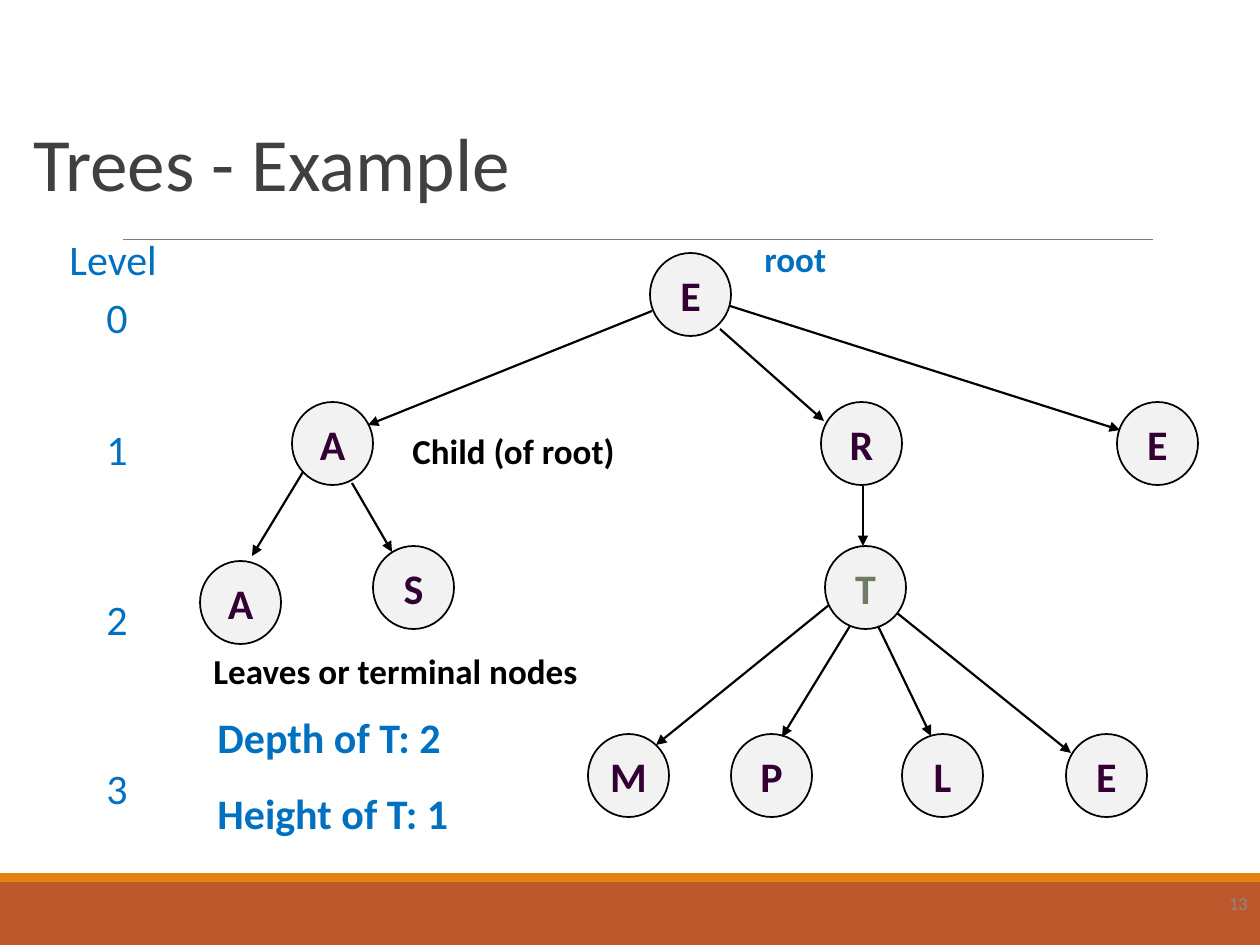
import pptx
import pptx.util
from lxml import etree
from pptx.dml.color import RGBColor
from pptx.enum.shapes import MSO_CONNECTOR, MSO_SHAPE
from pptx.enum.text import MSO_ANCHOR, PP_ALIGN
from pptx.oxml.ns import qn

PX = 914400 / 126
FONT = "Calibri"
RUST = RGBColor(0xBD, 0x58, 0x2C)
ORANGE = RGBColor(0xE4, 0x83, 0x12)
RULE = RGBColor(0x7F, 0x7F, 0x7F)
TITLE = RGBColor(0x40, 0x40, 0x40)
NUMBER = RGBColor(0x89, 0x89, 0x89)
BLACK = RGBColor(0, 0, 0)
BLUE = RGBColor(0x00, 0x70, 0xC0)
PLUM = RGBColor(0x33, 0x00, 0x33)
OLIVE = RGBColor(0x6F, 0x7B, 0x63)
NODE = RGBColor(0xF2, 0xF2, 0xF2)

prs = pptx.Presentation()
prs.slide_width = round(1260 * PX)
prs.slide_height = round(945 * PX)
s = prs.slides.add_slide(prs.slide_layouts[6])


def add_text(x, y, w, h, lines, size, color, bold=False):
    sp = s.shapes.add_textbox(*(round(n * PX) for n in (x, y, w, h)))
    tf = sp.text_frame
    tf.word_wrap = True
    tf.text = "\n".join(lines)
    for p in tf.paragraphs:
        p.font.name = FONT
        p.font.size = pptx.util.Pt(size)
        p.font.bold = bold
        p.font.color.rgb = color
    return tf


def add_line(x1, y1, x2, y2, color, width):
    """Add a straight line without the theme shadow and return its a:ln."""
    sp = s.shapes.add_connector(
        MSO_CONNECTOR.STRAIGHT, *(round(n * PX) for n in (x1, y1, x2, y2)))
    sp.line.color.rgb = color
    sp.line.width = pptx.util.Pt(width)
    etree.SubElement(sp._element.spPr, qn("a:effectLst"))
    return sp.line._get_or_add_ln()


# Footer bands, rule, title and slide number
for y, h, color in [(882, 63, RUST), (873, 9, ORANGE)]:
    sp = s.shapes.add_shape(MSO_SHAPE.RECTANGLE, 0, round(y * PX),
                            prs.slide_width, round(h * PX))
    sp.shadow.inherit = False
    sp.fill.solid()
    sp.fill.fore_color.rgb = color
    sp.line.fill.background()

add_line(123, 239, 1153, 239, RULE, 0.5)

tf = add_text(21, 116, 1153, 97, ["Trees - Example"], 43, TITLE)
tf.vertical_anchor = MSO_ANCHOR.BOTTOM
tf.paragraphs[0].line_spacing = 0.85

tf = add_text(1160, 880, 100, 46, ["13"], 10.5, NUMBER)
tf.vertical_anchor = MSO_ANCHOR.MIDDLE
tf.paragraphs[0].alignment = PP_ALIGN.RIGHT

# Tree nodes: letter, left, top
nodes = [
    ("E", 650, 253),
    ("A", 292, 402), ("R", 821, 402), ("E", 1117, 402),
    ("A", 200, 561), ("S", 373, 546), ("T", 825, 546),
    ("M", 588, 734), ("P", 731, 734), ("L", 902, 734), ("E", 1066, 734),
]
for letter, x, y in nodes:
    sp = s.shapes.add_shape(MSO_SHAPE.OVAL,
                            *(round(n * PX) for n in (x, y, 81, 83)))
    sp.shadow.inherit = False
    sp.fill.solid()
    sp.fill.fore_color.rgb = NODE
    sp.line.color.rgb = BLACK
    sp.line.width = pptx.util.Pt(1)
    tf = sp.text_frame
    tf.word_wrap = False
    tf.vertical_anchor = MSO_ANCHOR.MIDDLE
    tf.text = letter
    p = tf.paragraphs[0]
    p.alignment = PP_ALIGN.CENTER
    p.font.name = FONT
    p.font.size = pptx.util.Pt(24)
    p.font.bold = True
    p.font.color.rgb = OLIVE if letter == "T" else PLUM

# Arrows from parent to child
arrows = [
    (652, 311, 368, 425), (720, 329, 824, 421), (730, 306, 1120, 430),
    (303, 472, 252, 556), (352, 483, 392, 552), (863, 486, 863, 546),
    (829, 605, 656, 745), (850, 626, 782, 737),
    (878, 626, 931, 736), (897, 613, 1071, 753),
]
for ends in arrows:
    ln = add_line(*ends, BLACK, 1.25)
    etree.SubElement(ln, qn("a:tailEnd"), type="triangle")

# Labels
add_text(752, 231, 116, 55, ["root"], 20, BLUE, True)
add_text(201, 643, 425, 97, ["Leaves or terminal nodes"], 20, BLACK, True)
add_text(400, 423, 257, 97, ["Child (of root)"], 20, BLACK, True)
tf = add_text(205, 705, 423, 140, ["Depth of T: 2", "Height of T: 1"],
              24, BLUE, True)
tf.paragraphs[1].space_before = pptx.util.Pt(15)

add_text(57, 227, 144, 63, ["Level"], 24, BLUE)
for level, y in enumerate([285, 417, 587, 756]):
    add_text(94, y, 68, 63, [str(level)], 24, BLUE)

prs.save("out.pptx")
